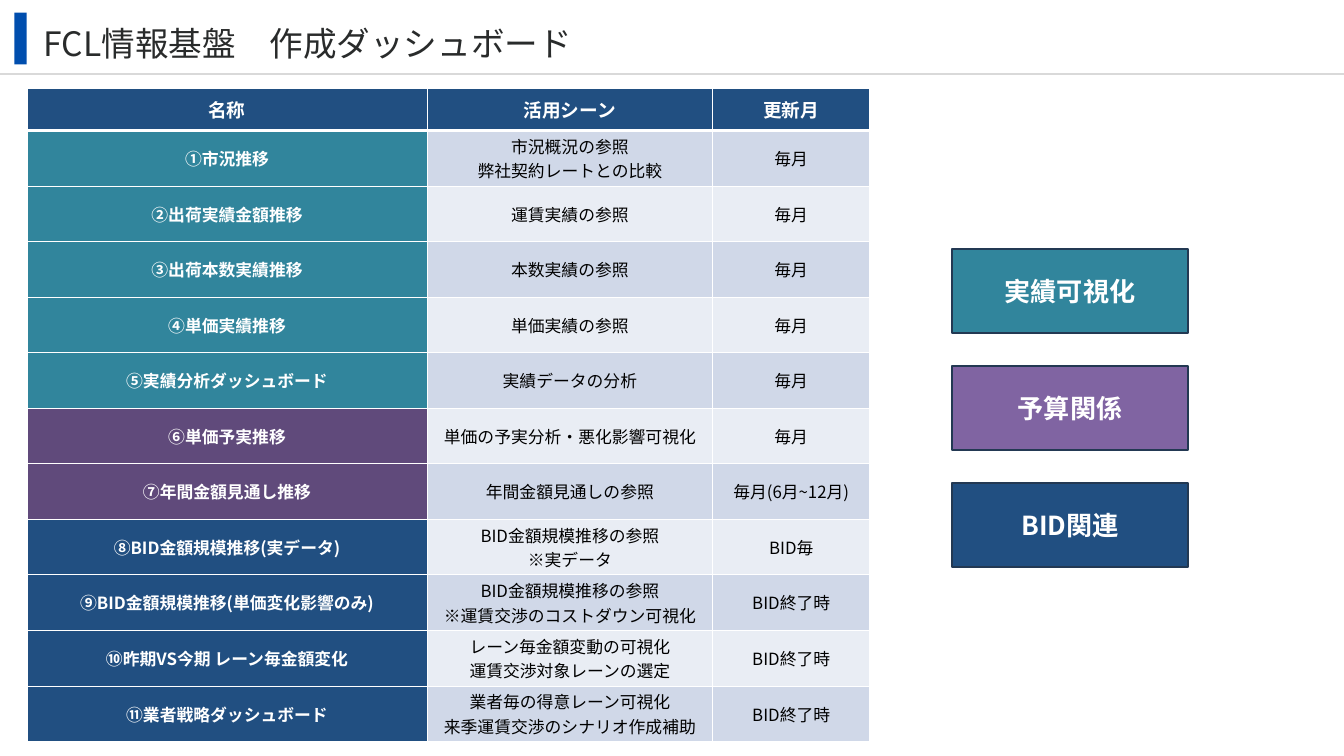
"""Build the slide that lists the FCL dashboards."""
from lxml.etree import SubElement
from pptx import Presentation
from pptx.dml.color import RGBColor
from pptx.enum.shapes import MSO_CONNECTOR, MSO_SHAPE
from pptx.enum.text import MSO_ANCHOR, MSO_AUTO_SIZE, PP_ALIGN
from pptx.oxml.ns import qn
from pptx.util import Cm, Pt

FONT = "Noto Sans CJK JP"
HUES = {
    "accent": "004EAE", "rule": "D9D9D9", "title": "292B2B", "edge": "233953",
    "white": "FFFFFF", "black": "000000", "teal": "31859C", "plum": "604A7B",
    "violet": "8064A2", "navy": "214F81", "odd": "D0D8E8", "even": "E9EDF4",
}
HEADS = ["名称", "活用シーン", "更新月"]
ROWS = [
    ("teal", "①市況推移", "市況概況の参照\n弊社契約レートとの比較", "毎月"),
    ("teal", "②出荷実績金額推移", "運賃実績の参照", "毎月"),
    ("teal", "③出荷本数実績推移", "本数実績の参照", "毎月"),
    ("teal", "④単価実績推移", "単価実績の参照", "毎月"),
    ("teal", "⑤実績分析ダッシュボード", "実績データの分析", "毎月"),
    ("plum", "⑥単価予実推移", "単価の予実分析・悪化影響可視化", "毎月"),
    ("plum", "⑦年間金額見通し推移", "年間金額見通しの参照", "毎月(6月~12月)"),
    ("navy", "⑧BID金額規模推移(実データ)", "BID金額規模推移の参照\n※実データ", "BID毎"),
    ("navy", "⑨BID金額規模推移(単価変化影響のみ)",
     "BID金額規模推移の参照\n※運賃交渉のコストダウン可視化", "BID終了時"),
    ("navy", "⑩昨期VS今期 レーン毎金額変化",
     "レーン毎金額変動の可視化\n運賃交渉対象レーンの選定", "BID終了時"),
    ("navy", "⑪業者戦略ダッシュボード",
     "業者毎の得意レーン可視化\n来季運賃交渉のシナリオ作成補助", "BID終了時"),
]
KEYS = [("実績可視化", "teal"), ("予算関係", "violet"), ("BID関連", "navy")]


def tint(name):
    """Return the named colour."""
    return RGBColor.from_string(HUES[name])


def write(frame, text, size, hue, bold=False, align=PP_ALIGN.CENTER):
    """Fill a text frame with one paragraph and run per line."""
    for i, line in enumerate(text.split("\n")):
        para = frame.add_paragraph() if i else frame.paragraphs[0]
        para.alignment = align
        run = para.add_run()
        run.text = line
        font = run.font
        font.size, font.bold, font.name = Pt(size), bold, FONT
        font.color.rgb = tint(hue)
        SubElement(font._element, qn("a:ea"), typeface=FONT)


def add_box(slide, left, top, width, height, fill, edge=None):
    """Add a filled rectangle, with an outline if an edge colour is given."""
    box = slide.shapes.add_shape(
        MSO_SHAPE.RECTANGLE, Cm(left), Cm(top), Cm(width), Cm(height))
    box.shadow.inherit = False
    box.fill.solid()
    box.fill.fore_color.rgb = tint(fill)
    if edge:
        box.line.color.rgb = tint(edge)
        box.line.width = Pt(2)
    else:
        box.line.fill.background()
    return box


def add_rule(slide, top, width):
    """Draw the line under the title."""
    rule = slide.shapes.add_connector(
        MSO_CONNECTOR.STRAIGHT, 0, Cm(top), width, Cm(top))
    rule.line.color.rgb = tint("rule")
    rule.line.width = Pt(3)
    SubElement(rule._element.spPr, qn("a:effectLst"))


def add_title(slide, text):
    """Add the slide title."""
    frame = slide.shapes.add_textbox(
        Cm(1.65), Cm(0.48), Cm(46.3), Cm(1.78)).text_frame
    frame.word_wrap = True
    frame.auto_size = MSO_AUTO_SIZE.SHAPE_TO_FIT_TEXT
    frame.margin_left = frame.margin_right = 0
    frame.margin_top = frame.margin_bottom = 0
    write(frame, text, 36, "title", align=PP_ALIGN.LEFT)
    frame.paragraphs[0].line_spacing = Pt(54)


def set_cell(cell, text, fill, size, hue, bold, top=1, base=1):
    """Style one cell with white borders, a fill and centred text."""
    props = cell._tc.get_or_add_tcPr()
    for side, width in zip("LRTB", (1, 1, top, base)):
        line = SubElement(props, qn(f"a:ln{side}"), w=str(Pt(width)))
        paint = SubElement(line, qn("a:solidFill"))
        SubElement(paint, qn("a:srgbClr"), val=HUES["white"])
    cell.fill.solid()
    cell.fill.fore_color.rgb = tint(fill)
    cell.vertical_anchor = MSO_ANCHOR.MIDDLE
    write(cell.text_frame, text, size, hue, bold)


def add_grid(slide):
    """Add the table of dashboards."""
    wide = [15.12, 10.8, 5.93]
    tall = [1.6] + [2.1] * len(ROWS)
    grid = slide.shapes.add_table(
        len(tall), len(wide), Cm(1.02), Cm(3.33),
        Cm(sum(wide)), Cm(sum(tall))).table
    for col, width in zip(grid.columns, wide):
        col.width = Cm(width)
    for row, height in zip(grid.rows, tall):
        row.height = Cm(height)
    for c, head in enumerate(HEADS):
        set_cell(grid.cell(0, c), head, "navy", 20, "white", True, base=3)
    for r, (group, *texts) in enumerate(ROWS, 1):
        band = "odd" if r % 2 else "even"
        top = 3 if r == 1 else 1
        for c, text in enumerate(texts):
            look = (band, 18, "black", False) if c else (group, 18, "white", True)
            set_cell(grid.cell(r, c), text, *look, top=top)


def add_keys(slide):
    """Stack the colour keys at the right."""
    for i, (text, fill) in enumerate(KEYS):
        box = add_box(slide, 36, 9.42 + 4.42 * i, 8.89, 3.18, fill, "edge")
        box.text_frame.vertical_anchor = MSO_ANCHOR.MIDDLE
        write(box.text_frame, text, 28, "white", True)


def main():
    """Build and save the deck."""
    deck = Presentation()
    deck.slide_width, deck.slide_height = Cm(50.8), Cm(28.58)
    slide = deck.slides.add_slide(deck.slide_layouts[6])
    add_box(slide, 0.54, 0.48, 0.47, 1.96, "accent")
    add_rule(slide, 2.8, deck.slide_width)
    add_title(slide, "FCL情報基盤　作成ダッシュボード")
    add_grid(slide)
    add_keys(slide)
    deck.save("out.pptx")


if __name__ == "__main__":
    main()
